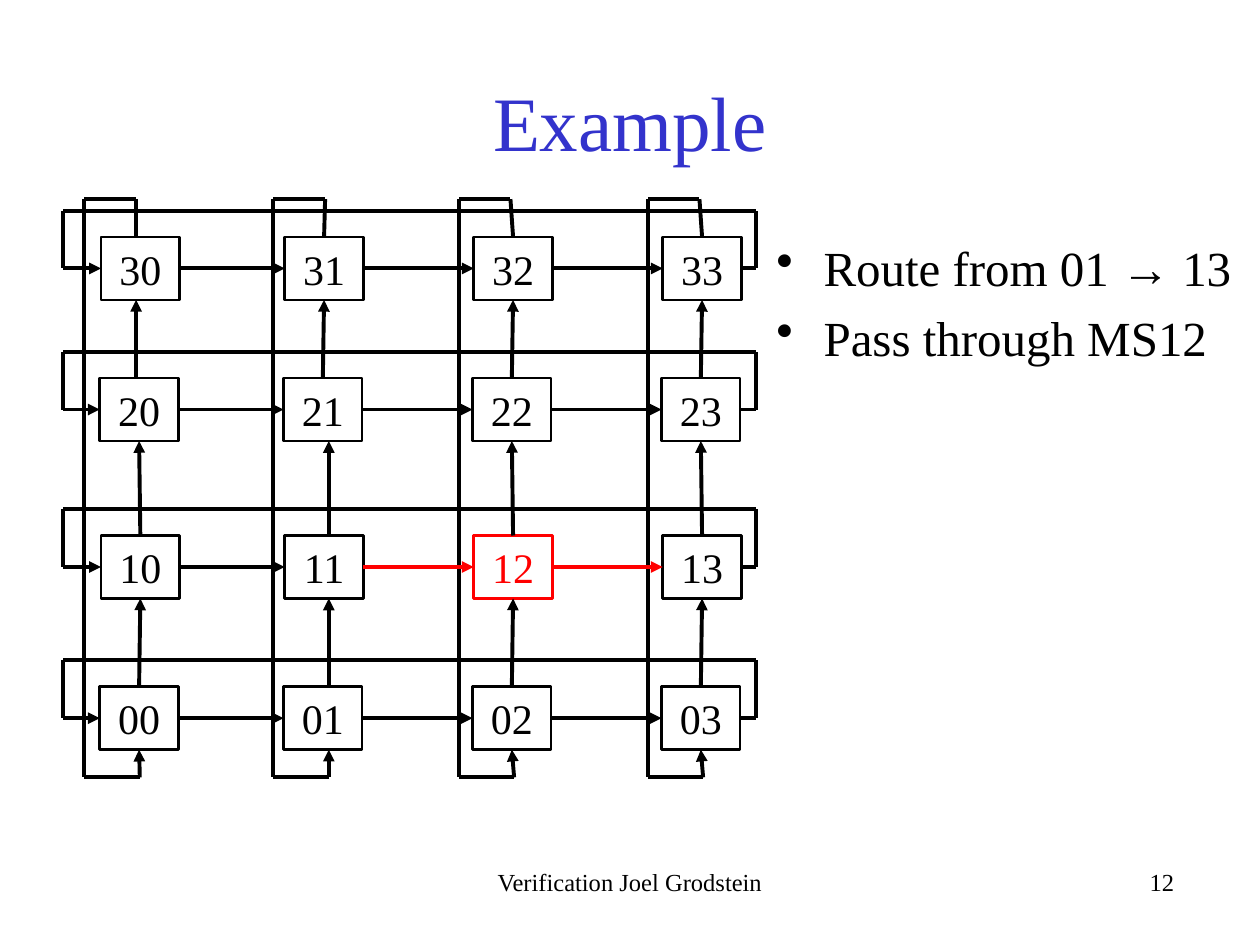
import pptx
import pptx.util
from lxml import etree
from pptx.dml.color import RGBColor
from pptx.enum.shapes import MSO_CONNECTOR, MSO_SHAPE
from pptx.enum.text import MSO_ANCHOR, PP_ALIGN
from pptx.oxml.ns import qn

Pt = pptx.util.Pt
COLORS = {"black": "000000", "white": "FFFFFF", "title": "3333CC", "route": "FF0000"}
FONT = "Times New Roman"
TOP, LEFT, BOTTOM, RIGHT = range(4)

NODE_W, NODE_H = 45, 36
NODE_X = [21, 126, 234, 342]
NODE_Y = [278.6, 192.2, 102.2, 21.6]  # row 0 is the lowest
LOOP_X = [12.2, 120.2, 226.1, 334.1]
ROW_LOOP_RISE = 33
ROUTE_NODES = {(1, 2)}
ROUTE_LINKS = {(1, 1), (1, 2)}  # links leaving these nodes to the right


def rgb(name):
    return RGBColor.from_string(COLORS[name])


def write(p, text, size, color="black", align=PP_ALIGN.LEFT, bullet=False, before=0):
    if bullet:
        pPr = p._p.get_or_add_pPr()
        pPr.set("marL", str(Pt(27)))
        pPr.set("indent", str(-Pt(27)))
        etree.SubElement(pPr, qn("a:buChar")).set("char", "•")
    p.alignment = align
    p.space_before = Pt(before)
    r = p.add_run()
    r.text = text
    r.font.name = FONT
    r.font.size = Pt(size)
    r.font.color.rgb = rgb(color)


def add_text_box(s, box):
    tf = s.shapes.add_textbox(*map(Pt, box)).text_frame
    tf.word_wrap = True
    return tf


def add_wire(s, start, end, color="black", arrow=False):
    """Join two ends, each an (x, y) point or a (shape, side) pair."""
    points = [(0, 0) if hasattr(e[0], "shape_id") else e for e in (start, end)]
    c = s.shapes.add_connector(MSO_CONNECTOR.STRAIGHT, *(Pt(v) for xy in points for v in xy))
    for e, connect in ((start, c.begin_connect), (end, c.end_connect)):
        if hasattr(e[0], "shape_id"):
            connect(*e)
    c.line.color.rgb = rgb(color)
    c.line.width = Pt(2.25)
    if arrow:
        etree.SubElement(c.line._get_or_add_ln(), qn("a:tailEnd")).set("type", "triangle")
    etree.SubElement(c._element.spPr, qn("a:effectLst"))


def port(sp, side, x):
    """Top or bottom end at x, joined to the node when x is close to its middle."""
    if abs(sp.left.pt + sp.width.pt / 2 - x) <= 1.5:
        return sp, side
    return x, (sp.top + (sp.height if side == BOTTOM else 0)) / Pt(1)


def add_node(s, x, y, text, color):
    sp = s.shapes.add_shape(MSO_SHAPE.RECTANGLE, Pt(x), Pt(y), Pt(NODE_W), Pt(NODE_H))
    sp.shadow.inherit = False
    sp.fill.solid()
    sp.fill.fore_color.rgb = rgb("white")
    sp.line.color.rgb = rgb(color)
    sp.line.width = Pt(1.5)
    tf = sp.text_frame
    tf.word_wrap = False
    tf.vertical_anchor = MSO_ANCHOR.MIDDLE
    write(tf.paragraphs[0], text, 24, color, PP_ALIGN.CENTER)
    return sp


def add_column_wires(s, nodes, loop, top, bottom):
    """Upward links of one column and the loop from its top to its bottom."""
    low, high = loop + 31.7, loop + 29.6
    for i, (a, b) in enumerate(zip(nodes, nodes[1:])):
        x = high if i == 2 else low
        add_wire(s, port(a, TOP, x), port(b, BOTTOM, x), arrow=True)
    add_wire(s, port(nodes[-1], TOP, high), (high, top))
    add_wire(s, (high, top), (loop, top))
    add_wire(s, (loop, top), (loop, bottom))
    add_wire(s, (loop, bottom), (low, bottom))
    add_wire(s, (low, bottom), port(nodes[0], BOTTOM, low), arrow=True)


def add_row_wires(s, row, nodes, left, right):
    """Rightward links of one row and the loop from its end to its start."""
    for col, (a, b) in enumerate(zip(nodes, nodes[1:])):
        color = "route" if (row, col) in ROUTE_LINKS else "black"
        add_wire(s, (a, RIGHT), (b, LEFT), color, arrow=True)
    middle = nodes[0].top.pt + NODE_H / 2
    loop = middle - ROW_LOOP_RISE
    add_wire(s, (nodes[-1], RIGHT), (right, middle))
    add_wire(s, (right, middle), (right, loop))
    add_wire(s, (right, loop), (left, loop))
    add_wire(s, (left, loop), (left, middle))
    add_wire(s, (left, middle), (nodes[0], LEFT), arrow=True)


def add_torus(s, box):
    left, top, width, height = box
    grid = []
    for row, y in enumerate(NODE_Y):
        shift = 0.7 * (row % 2)
        grid.append([add_node(s, left + x + shift, top + y, f"{row}{col}",
                              "route" if (row, col) in ROUTE_NODES else "black")
                     for col, x in enumerate(NODE_X)])
    for nodes, loop in zip(zip(*grid), LOOP_X):
        add_column_wires(s, nodes, left + loop, top, top + height)
    for row, nodes in enumerate(grid):
        add_row_wires(s, row, nodes, left, left + width)


def add_title(s, box, text):
    sp = s.shapes.title
    sp.left, sp.top, sp.width, sp.height = map(Pt, box)
    sp.text_frame.vertical_anchor = MSO_ANCHOR.MIDDLE
    write(sp.text_frame.paragraphs[0], text, 44, "title", PP_ALIGN.CENTER)


def add_bullets(s, box, items):
    tf = add_text_box(s, box)
    for i, text in enumerate(items):
        p = tf.add_paragraph() if i else tf.paragraphs[0]
        write(p, text, 28, bullet=True, before=6.5 if i else 0)


def add_footer(s, box, text, number):
    left, top, width, height = box
    center = add_text_box(s, (left, top, width, height))
    write(center.paragraphs[0], text, 14, align=PP_ALIGN.CENTER)
    corner = add_text_box(s, (left + 204, top, width, height))
    write(corner.paragraphs[0], number, 14, align=PP_ALIGN.RIGHT)


def main():
    prs = pptx.Presentation()
    prs.slide_width, prs.slide_height = Pt(720), Pt(540)
    s = prs.slides.add_slide(prs.slide_layouts[5])
    add_title(s, (54, 24, 612, 90), "Example")
    add_torus(s, (36, 113.8, 396, 330.4))
    add_bullets(s, (436.5, 132, 281.5, 260), ["Route from 01 → 13", "Pass through MS12"])
    add_footer(s, (246, 492, 228, 36), "Verification Joel Grodstein", "12")
    prs.save("out.pptx")


if __name__ == "__main__":
    main()
